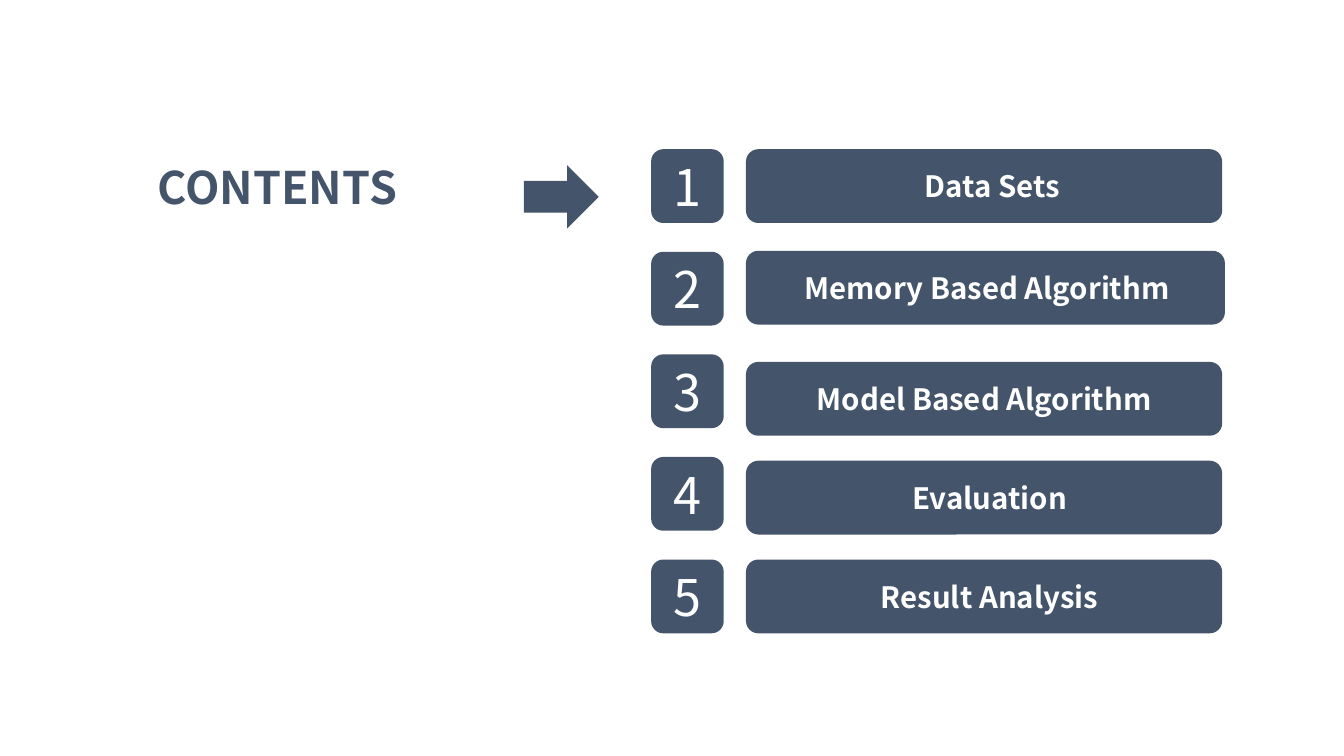
from pptx import Presentation
from pptx.dml.color import RGBColor
from pptx.enum.shapes import MSO_SHAPE as Preset
from pptx.enum.text import MSO_ANCHOR as Anchor, MSO_AUTO_SIZE as AutoSize, PP_ALIGN as Align
from pptx.util import Cm, Pt

SLATE = "44546A"
WHITE = "FFFFFF"


def write(shape, text, size, color=WHITE, bold=False, align=Align.CENTER,
          anchor=Anchor.MIDDLE, left_inset=0.33, right_inset=0.33):
    frame = shape.text_frame
    frame.auto_size = AutoSize.NONE
    frame.word_wrap = True
    frame.vertical_anchor = anchor
    frame.margin_left, frame.margin_right = Cm(left_inset), Cm(right_inset)
    frame.margin_top = frame.margin_bottom = Cm(0.18)
    paragraph = frame.paragraphs[0]
    paragraph.alignment = align
    run = paragraph.add_run()
    run.text = text
    run.font.name = "Noto Sans CJK SC"
    run.font.size = Pt(size)
    run.font.bold = bold
    run.font.color.rgb = RGBColor.from_string(color)


def add_block(preset, left, top, width, height):
    block = slide.shapes.add_shape(preset, Cm(left), Cm(top), Cm(width), Cm(height))
    block.shadow.inherit = False
    block.fill.solid()
    block.fill.fore_color.rgb = RGBColor.from_string(SLATE)
    block.line.fill.background()
    return block


deck = Presentation()
deck.slide_width, deck.slide_height = Cm(33.87), Cm(19.05)
slide = deck.slides.add_slide(deck.slide_layouts[5])

heading = slide.shapes.title
heading.left, heading.top = Cm(3.15), Cm(3.84)
heading.width, heading.height = Cm(7.19), Cm(1.7)
write(heading, "CONTENTS", 32, color=SLATE, bold=True, align=Align.RIGHT, anchor=Anchor.TOP)

add_block(Preset.RIGHT_ARROW, 13.2, 4.16, 1.89, 1.6)

chapters = [
    ("Data Sets", 3.76, 12, 0.42),
    ("Memory Based Algorithm", 6.32, 12.07, 0.08),
    ("Model Based Algorithm", 9.12, 12, 0),
    ("Evaluation", 11.61, 12, 0.28),
    ("Result Analysis", 14.1, 12, 0.28),
]
first_top, pitch, block_height = 3.76, 2.585, 1.86

for index, (chapter, bar_top, bar_width, indent) in enumerate(chapters):
    number = add_block(Preset.ROUNDED_RECTANGLE, 16.41, first_top + index * pitch, 1.83, block_height)
    write(number, str(index + 1), 36)
    bar = add_block(Preset.ROUNDED_RECTANGLE, 18.8, bar_top, bar_width, block_height)
    write(bar, chapter, 21, bold=True, left_inset=0.46 + indent, right_inset=0.46)

deck.save("out.pptx")
